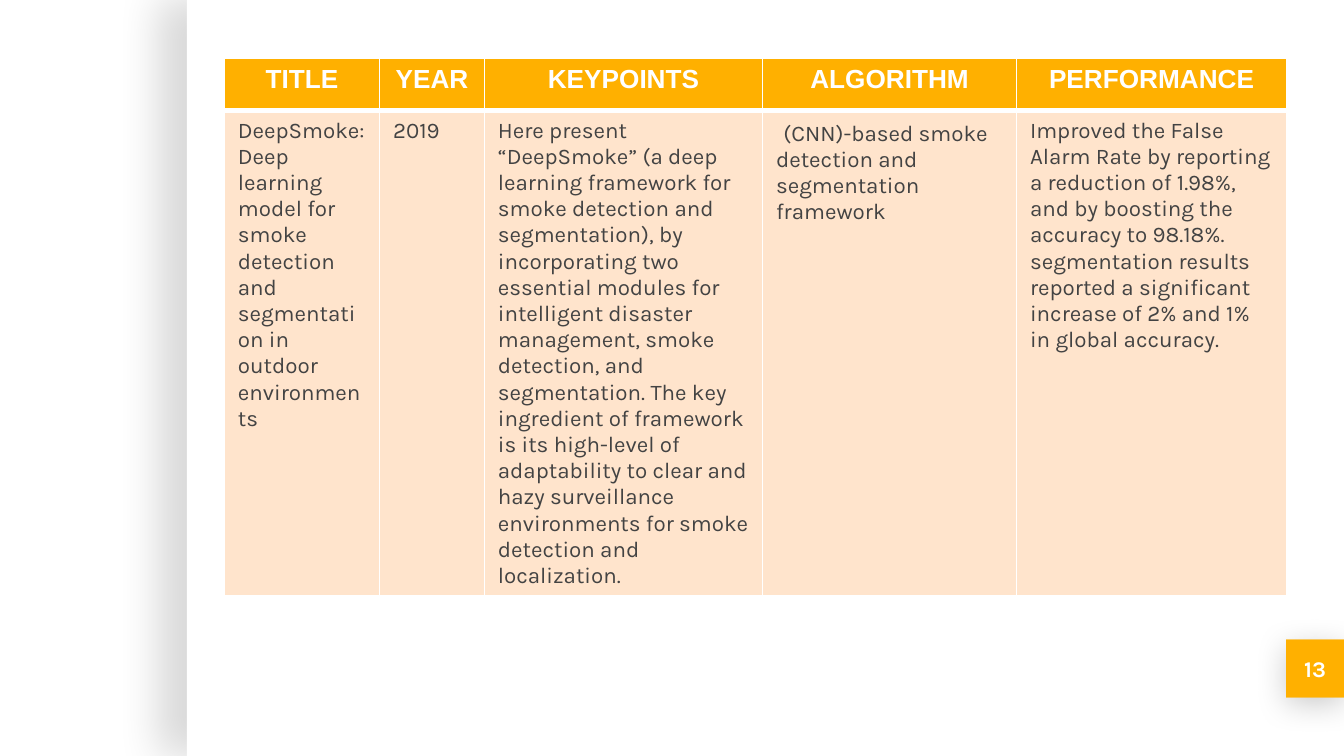
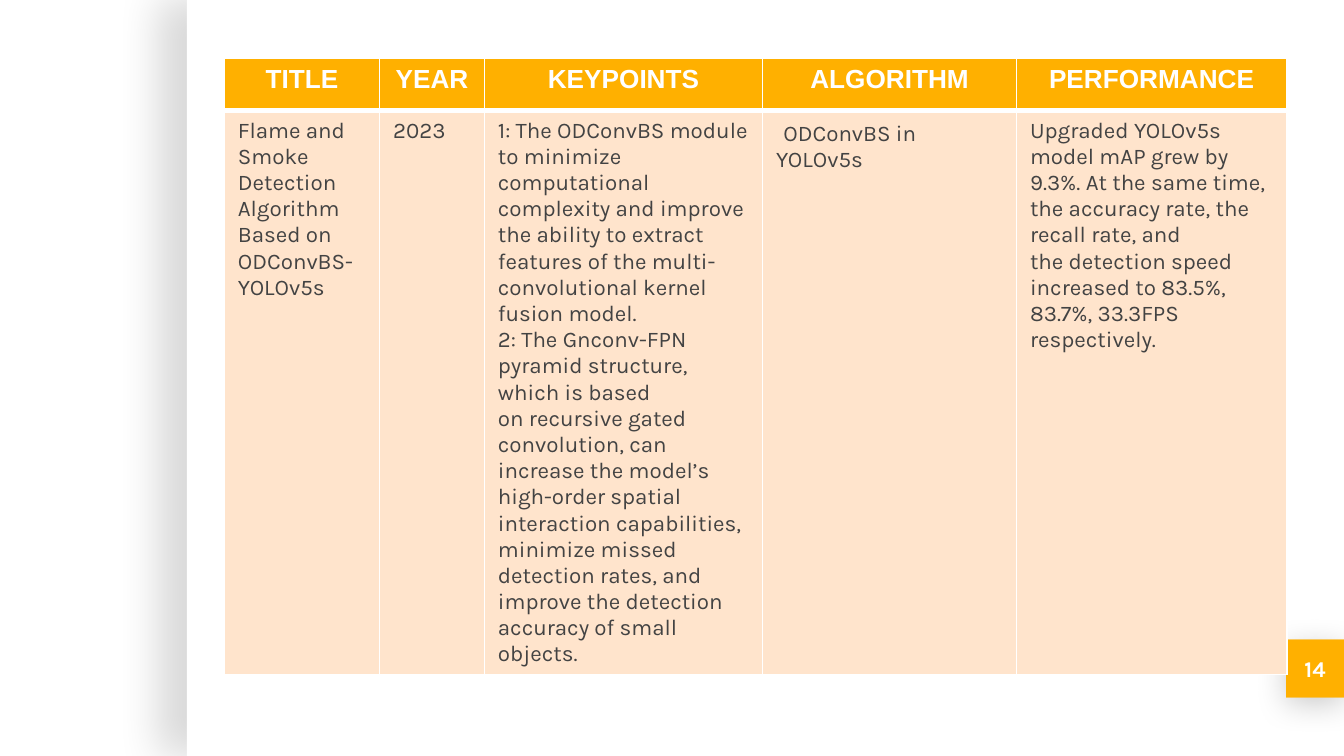
from lxml import etree
from pptx import Presentation
from pptx.dml.color import RGBColor
from pptx.enum.shapes import MSO_SHAPE
from pptx.enum.text import MSO_ANCHOR, PP_ALIGN
from pptx.oxml import parse_xml
from pptx.oxml.ns import nsdecls
from pptx.util import Emu, Pt

RECTANGLE = MSO_SHAPE.RECTANGLE
MIDDLE = MSO_ANCHOR.MIDDLE
CENTER = PP_ALIGN.CENTER
LEFT = PP_ALIGN.LEFT

PX = 4572
COLORS = {"white": "FFFFFF", "amber": "FFB000", "peach": "FFE4CC",
          "text": "434343", "shadow": "000000"}
PANEL = (278, 0, 1722, 1125)
BADGE = (1914, 952, 86, 86)
TABLE_LEFT, TABLE_TOP, ROW_HEIGHT = 334, 87, 78
COLUMN_WIDTHS = [231, 156, 414, 378, 402]
HEADINGS = ["TITLE", "YEAR", "KEYPOINTS", "ALGORITHM", "PERFORMANCE"]
ALGORITHM_COLUMN = HEADINGS.index("ALGORITHM")

PAPERS = [
    {"number": "13", "height": 818, "cells": [
        ["DeepSmoke: Deep learning model for smoke detection and segmentation in outdoor environments"],
        ["2019"],
        ["Here present “DeepSmoke” (a deep learning framework for smoke detection and "
         "segmentation), by incorporating two essential modules for intelligent disaster "
         "management, smoke detection, and segmentation. The key ingredient of framework is "
         "its high-level of adaptability to clear and hazy surveillance environments for "
         "smoke detection and localization."],
        ["(CNN)-based smoke detection and segmentation framework"],
        ["Improved the False Alarm Rate by reporting a reduction of 1.98%, and by boosting "
         "the accuracy to 98.18%.",
         "segmentation results reported a significant increase of 2% and 1% in global accuracy."],
    ]},
    {"number": "14", "height": 938, "cells": [
        ["Flame and Smoke Detection Algorithm", "Based on ODConvBS-YOLOv5s"],
        ["2023"],
        ["1: The ODConvBS module to minimize computational",
         "complexity and improve the ability to extract features of the multi-convolutional "
         "kernel fusion model.",
         "2: The Gnconv-FPN pyramid structure, which is based",
         "on recursive gated convolution, can increase the model’s",
         "high-order spatial interaction capabilities, minimize missed",
         "detection rates, and improve the detection accuracy of small",
         "objects."],
        ["ODConvBS in YOLOv5s"],
        ["Upgraded YOLOv5s model mAP grew by 9.3%. At the same time, the accuracy rate, "
         "the recall rate, and",
         "the detection speed increased to 83.5%, 83.7%, 33.3FPS respectively."],
    ]},
]


def add_block(page, bounds, color):
    block = page.shapes.add_shape(RECTANGLE, *(Emu(length * PX) for length in bounds))
    block.shadow.inherit = False
    block.fill.solid()
    block.fill.fore_color.rgb = RGBColor.from_string(COLORS[color])
    block.line.fill.background()
    return block


def add_span(para, text, font, size, color, bold):
    span = para.add_run()
    span.text = text
    span.font.name = font
    span.font.size = Pt(size)
    span.font.bold = bold
    span.font.color.rgb = RGBColor.from_string(COLORS[color])


deck = Presentation()
deck.slide_width = Emu(2000 * PX)
deck.slide_height = Emu(1125 * PX)
layout = deck.slide_layouts[6]
pages = [deck.slides.add_slide(layout) for paper in PAPERS]

for bounds, color, alpha, blur, distance, angle in [
    (PANEL, "white", 15, 22.5, 15, 180),
    (BADGE, "amber", 20, 16.9, 3.8, 90),
]:
    block = add_block(pages[0], bounds, color)
    properties = block.element.spPr
    effects = properties.find("{*}effectLst")
    effects.append(parse_xml(
        f'<a:outerShdw {nsdecls("a")} blurRad="{Pt(blur)}" dist="{Pt(distance)}" '
        f'dir="{angle * 60000}" algn="bl" rotWithShape="0">'
        f'<a:srgbClr val="{COLORS["shadow"]}"><a:alpha val="{alpha * 1000}"/></a:srgbClr>'
        '</a:outerShdw>'))
    layout.shapes.element.append(block.element)

for page, paper in zip(pages, PAPERS):
    badge = add_block(page, BADGE, "amber")
    frame = badge.text_frame
    frame.word_wrap = True
    frame.vertical_anchor = MIDDLE
    frame.margin_left = frame.margin_right = Emu(20 * PX)
    frame.margin_top = frame.margin_bottom = Emu(20 * PX)
    frame.paragraphs[0].alignment = CENTER
    add_span(frame.paragraphs[0], paper["number"], "Karla", 12, "white", True)

    holder = page.shapes.add_table(
        2, len(HEADINGS), Emu(TABLE_LEFT * PX), Emu(TABLE_TOP * PX),
        Emu(sum(COLUMN_WIDTHS) * PX), Emu(2 * ROW_HEIGHT * PX))
    table = holder.table
    table.horz_banding = False
    for column, width in zip(table.columns, COLUMN_WIDTHS):
        column.width = Emu(width * PX)
    for row in table.rows:
        row.height = Emu(ROW_HEIGHT * PX)
    holder.height = Emu(paper["height"] * PX)

    rows = [[[heading] for heading in HEADINGS], paper["cells"]]
    for row_index, contents in enumerate(rows):
        is_header = row_index == 0
        for column_index, lines in enumerate(contents):
            cell = table.cell(row_index, column_index)
            cell.fill.solid()
            cell.fill.fore_color.rgb = RGBColor.from_string(
                COLORS["amber" if is_header else "peach"])
            thick_side = "B" if is_header else "T"
            borders = cell._tc.get_or_add_tcPr()
            for position, side in enumerate("LRTB"):
                border = etree.Element(borders.tag.replace("tcPr", "ln" + side),
                                       w=str(Pt(3 if side == thick_side else 1)))
                border.append(parse_xml(
                    f'<a:solidFill {nsdecls("a")}><a:srgbClr val="{COLORS["white"]}"/></a:solidFill>'))
                borders.insert(position, border)

            for line_index, line in enumerate(lines):
                frame = cell.text_frame
                para = frame.add_paragraph() if line_index else frame.paragraphs[0]
                para.alignment = CENTER if is_header else LEFT
                if is_header:
                    add_span(para, line, "Arial", 14, "white", True)
                    continue
                if column_index == ALGORITHM_COLUMN:
                    add_span(para, " ", "Arial", 14, "text", False)
                add_span(para, line, "Karla", 12, "text", False)

deck.save("out.pptx")
